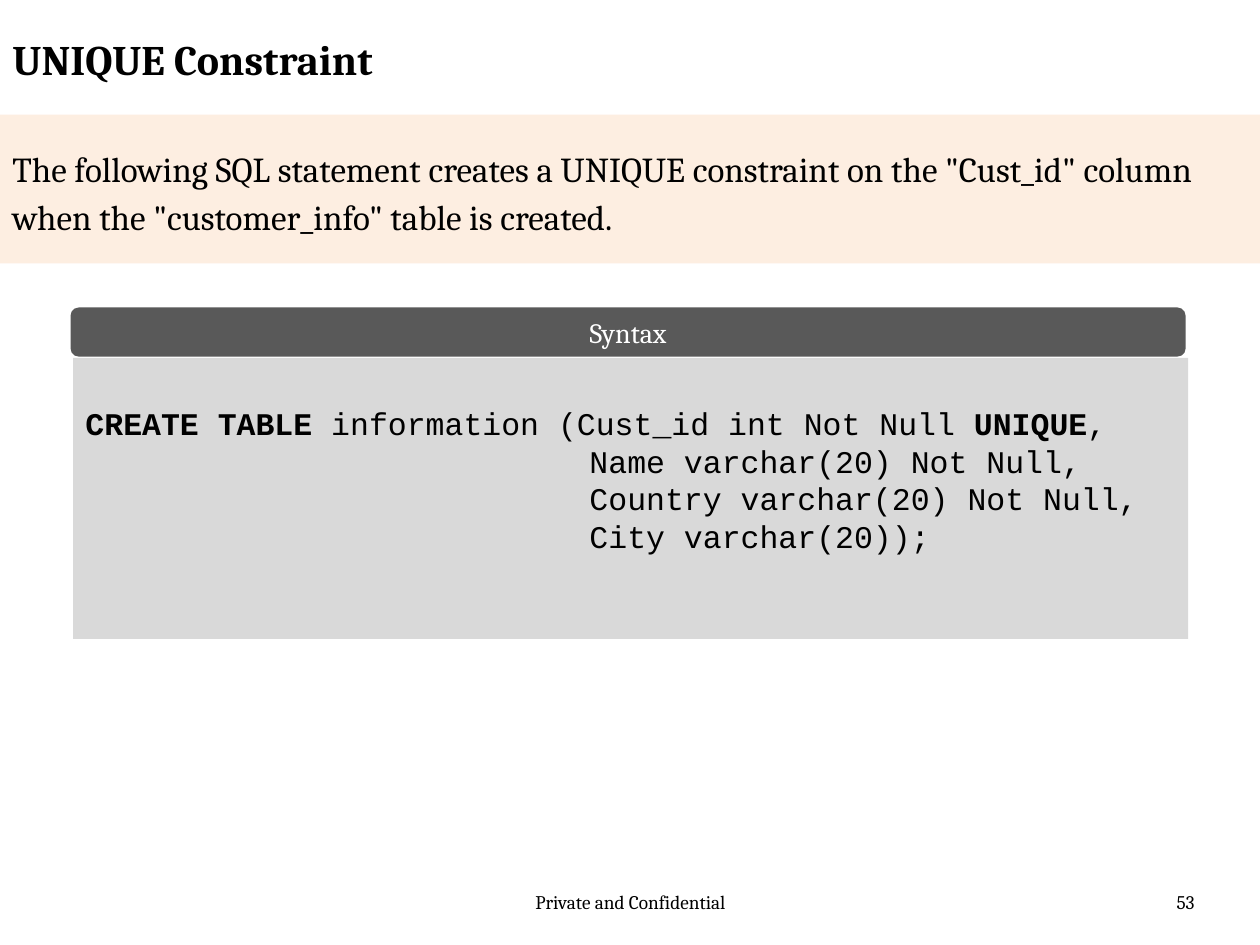
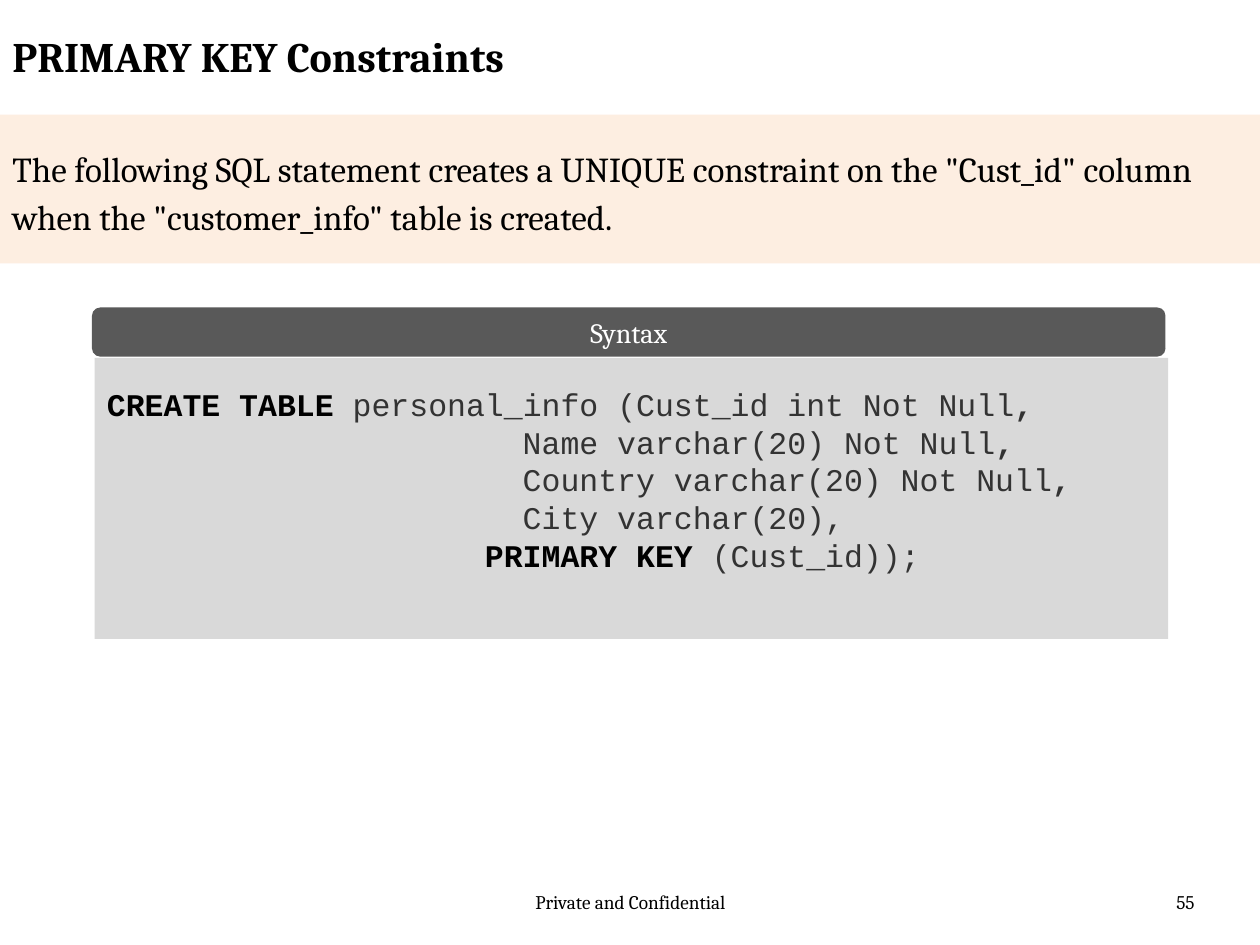
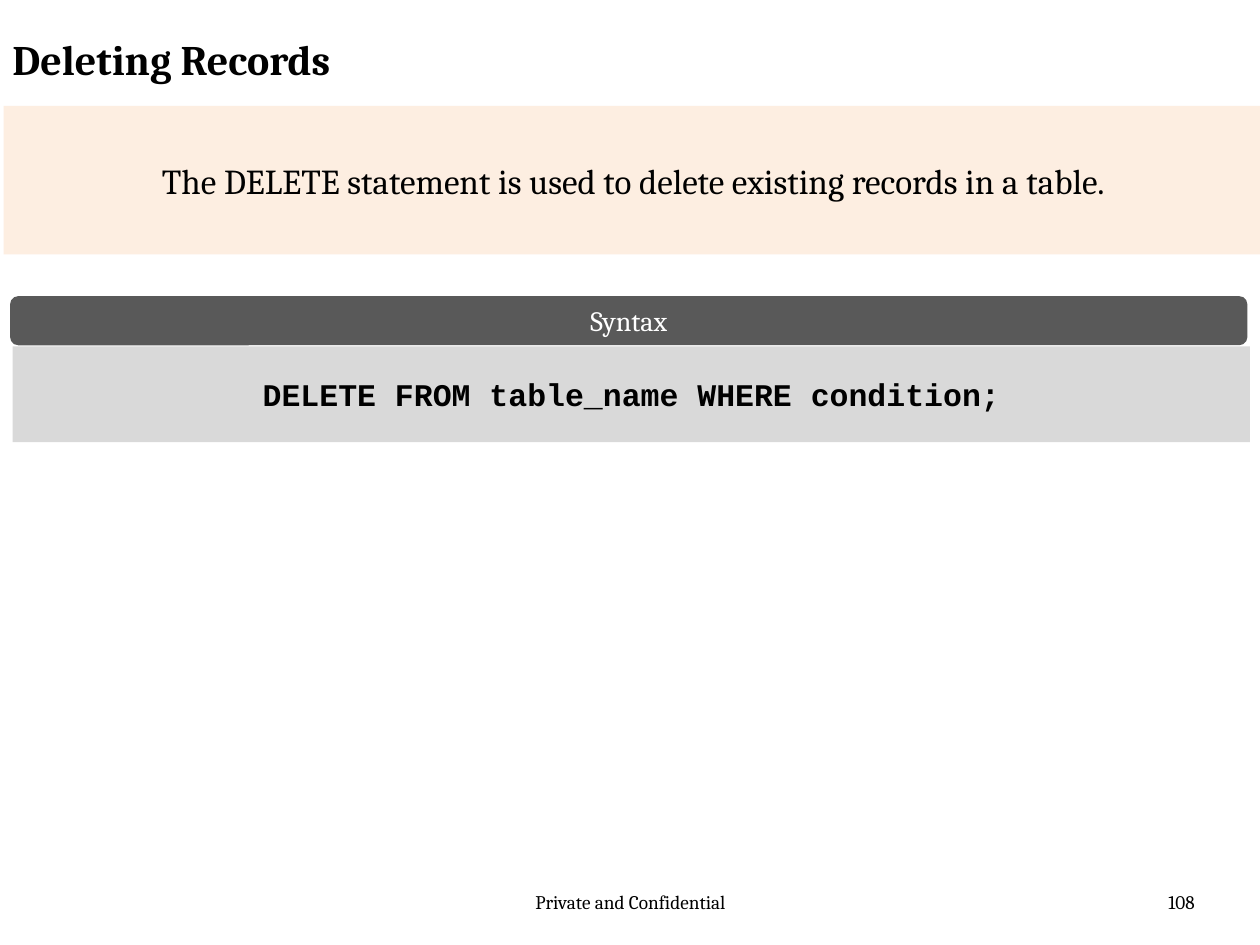
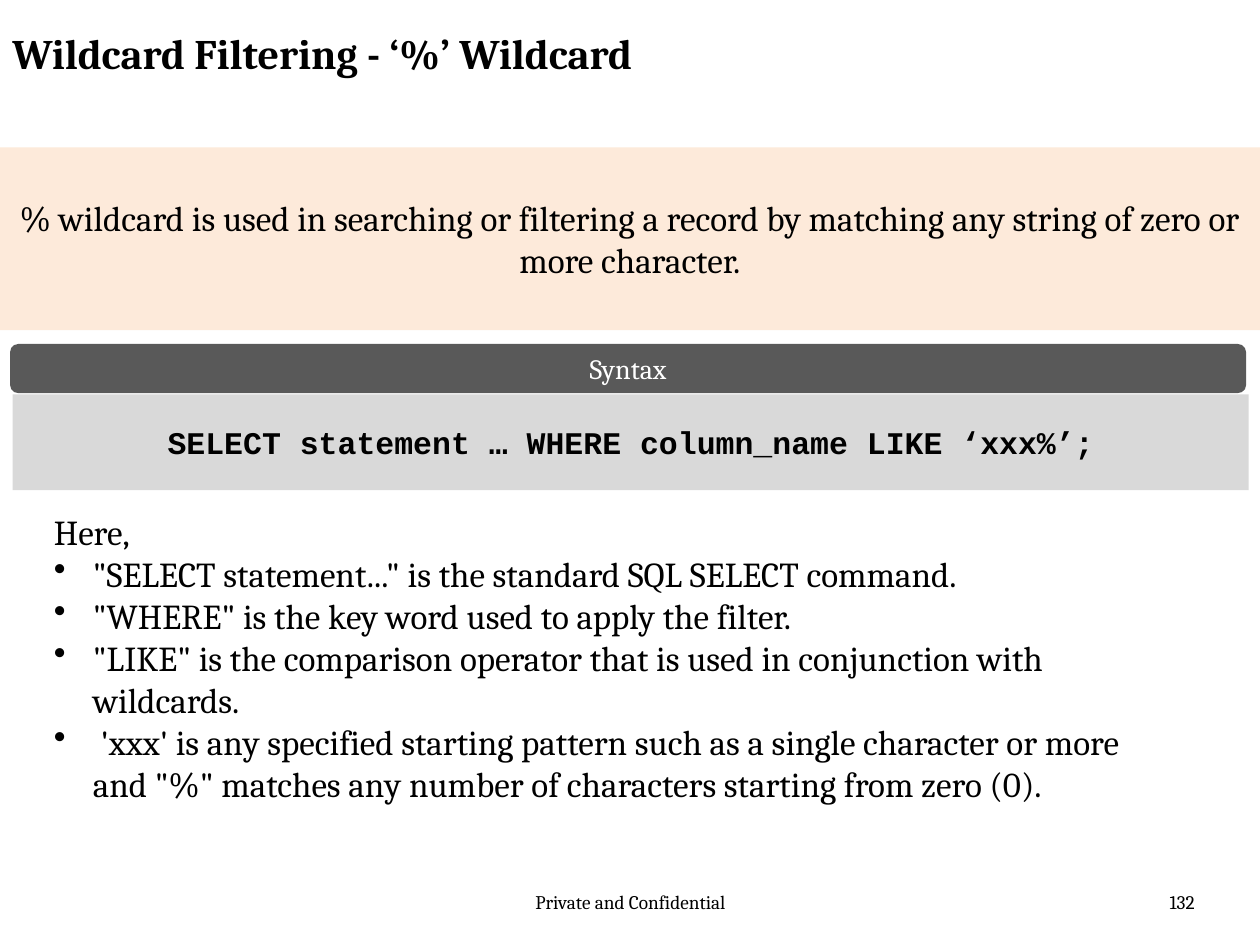
from lxml import etree
from pptx import Presentation
from pptx.dml.color import RGBColor
from pptx.enum.shapes import MSO_SHAPE
from pptx.enum.text import MSO_ANCHOR, PP_ALIGN
from pptx.oxml.ns import qn
from pptx.util import Inches, Pt

BLACK = RGBColor(0x00, 0x00, 0x00)
WHITE = RGBColor(0xFF, 0xFF, 0xFF)
INK = RGBColor(0x33, 0x33, 0x33)
PEACH = RGBColor(0xFD, 0xEA, 0xDA)
DARK = RGBColor(0x59, 0x59, 0x59)
GREY = RGBColor(0xD9, 0xD9, 0xD9)
SERIF = "Cambria"
MONO = "Courier New"
RECT = MSO_SHAPE.RECTANGLE
ROUND = MSO_SHAPE.ROUNDED_RECTANGLE
LEFT, MID, RIGHT = PP_ALIGN.LEFT, PP_ALIGN.CENTER, PP_ALIGN.RIGHT
TOP, MIDDLE = MSO_ANCHOR.TOP, MSO_ANCHOR.MIDDLE
HEAD_H = 0.39
CODE_DX, CODE_DY = 0.02, 0.4


def style(run, size, font=SERIF, color=BLACK, bold=False):
    run.font.size = Pt(size)
    run.font.name = font
    run.font.color.rgb = color
    run.font.bold = bold


def add_par(frame, first, align=LEFT, left=0, bullet=None):
    par = frame.paragraphs[0] if first else frame.add_paragraph()
    par.alignment = align
    props = par._p.get_or_add_pPr()
    if left:
        props.set("marL", str(Inches(left)))
        props.set("indent", str(-Inches(left) if bullet else 0))
    if bullet:
        etree.SubElement(props, qn("a:buChar")).set("char", bullet)
    return par


def put_line(frame, text, size, align=LEFT, **look):
    """Fill a frame with one paragraph of one run."""
    par = add_par(frame, True, align)
    run = par.add_run()
    run.text = text
    style(run, size, **look)
    return par


def add_text(slide, box):
    frame = slide.shapes.add_textbox(*map(Inches, box)).text_frame
    frame.word_wrap = True
    frame.vertical_anchor = TOP
    return frame


def add_block(slide, kind, box, color):
    shape = slide.shapes.add_shape(kind, *map(Inches, box))
    shape.shadow.inherit = False
    shape.fill.solid()
    shape.fill.fore_color.rgb = color
    shape.line.fill.background()
    shape.text_frame.word_wrap = True
    shape.text_frame.vertical_anchor = MIDDLE
    return shape


def new_slide(deck, title, top, number):
    """Start a slide with the shared title and footer."""
    slide = deck.slides.add_slide(deck.slide_layouts[6])
    put_line(add_text(slide, (3.42, 7.02, 3.17, 0.4)),
             "Private and Confidential", 11, MID)
    put_line(add_text(slide, (7.25, 7.02, 2.33, 0.4)), str(number), 11, RIGHT)
    put_line(add_text(slide, (0, top, 7.59, 0.62)), title, 24, bold=True)
    return slide


def add_band(slide, box, text, align=MID, space=None, alpha=None):
    shape = add_block(slide, RECT, box, PEACH)
    if alpha:
        tint = shape.fill._xPr.find(".//" + qn("a:srgbClr"))
        etree.SubElement(tint, qn("a:alpha")).set("val", str(alpha * 1000))
    par = put_line(shape.text_frame, text, 20, align)
    if space:
        par.line_spacing = space


def add_syntax(slide, box, lines, align=LEFT, left=0, foot=0.05):
    """Draw the Syntax bar over its code; lines after the first are indented."""
    x, y, w, h = box
    bar = add_block(slide, ROUND, (x, y, w, HEAD_H), DARK)
    put_line(bar.text_frame, "Syntax", 16, MID, color=WHITE)
    body = add_block(slide, ROUND,
                     (x + CODE_DX, y + CODE_DY, w, h - CODE_DY), GREY)
    body.adjustments[0] = 0
    frame = body.text_frame
    frame.margin_bottom = Inches(foot)
    for i, line in enumerate(lines):
        par = add_par(frame, i == 0, align, left if i else 0)
        for text, bold, color in line:
            run = par.add_run()
            run.text = text
            style(run, 18, MONO, color, bold)


def add_notes(slide, box, lead, items):
    """Write a lead line and the bullets under it."""
    frame = add_text(slide, box)
    put_line(frame, lead, 20)
    for item in items:
        run = add_par(frame, False, left=0.31, bullet="•").add_run()
        run.text = item
        style(run, 20)


def key(text):
    return text, True, BLACK


def plain(text):
    return text, False, BLACK


def soft(text):
    return text, False, INK


COMMA = (",", True, INK)
INTRO = ('The following SQL statement creates a UNIQUE constraint on the '
         '"Cust_id" column when the "customer_info" table is created.')
INTRO_BOX = (0, 0.91, 10, 1.18)


def unique_slide(deck):
    slide = new_slide(deck, "UNIQUE Constraint", 0.22, 53)
    add_band(slide, INTRO_BOX, INTRO, LEFT, 1.15, 79)
    add_syntax(slide, (0.56, 2.44, 8.85, 2.63), [
        [key("CREATE TABLE "), plain("information (Cust_id int Not Null "),
         key("UNIQUE"), plain(",")],
        [plain("Name varchar(20) Not Null,")],
        [plain("Country varchar(20) Not Null,")],
        [plain("City varchar(20));")],
    ], left=4, foot=0.35)


def primary_slide(deck):
    slide = new_slide(deck, "PRIMARY KEY Constraints", 0.19, 55)
    add_band(slide, INTRO_BOX, INTRO, LEFT, 1.15, 79)
    add_syntax(slide, (0.73, 2.44, 8.52, 2.63), [
        [key("CREATE TABLE "), soft("personal_info (Cust_id int Not Null"),
         COMMA],
        [soft("  Name varchar(20) Not Null"), COMMA],
        [soft("  Country varchar(20) Not Null"), COMMA],
        [soft("  City varchar(20),")],
        [key("PRIMARY KEY "), soft("(Cust_id));")],
    ], left=3, foot=0.35)


def delete_slide(deck):
    slide = new_slide(deck, "Deleting Records", 0.22, 108)
    add_syntax(slide, (0.08, 2.35, 9.82, 1.16),
               [[key("DELETE FROM table_name WHERE condition;")]], MID)
    add_band(slide, (0.03, 0.84, 10, 1.18),
             "The DELETE statement is used to delete existing records "
             "in a table.", alpha=79)


def wildcard_slide(deck):
    slide = new_slide(deck, "Wildcard Filtering - ‘%’ Wildcard", 0.17, 132)
    add_band(slide, (0, 1.17, 10, 1.45),
             "% wildcard is used in searching or filtering a record by "
             "matching any string of zero or more character.")
    add_syntax(slide, (0.08, 2.73, 9.81, 1.16),
               [[key("SELECT statement … WHERE column_name LIKE ‘xxx%’;")]],
               MID)
    add_notes(slide, (0.33, 4, 8.67, 2.79), "Here,", [
        '"SELECT statement..." is the standard SQL SELECT command.',
        '"WHERE" is the key word used to apply the filter.',
        '"LIKE" is the comparison operator that is used in conjunction '
        'with wildcards.',
        ' \'xxx\' is any specified starting pattern such as a single '
        'character or more and "%" matches any number of characters '
        'starting from zero (0).',
    ])


def main():
    deck = Presentation()
    deck.slide_width = Inches(10)
    deck.slide_height = Inches(7.5)
    for build in (unique_slide, primary_slide, delete_slide, wildcard_slide):
        build(deck)
    deck.save("out.pptx")


if __name__ == "__main__":
    main()
